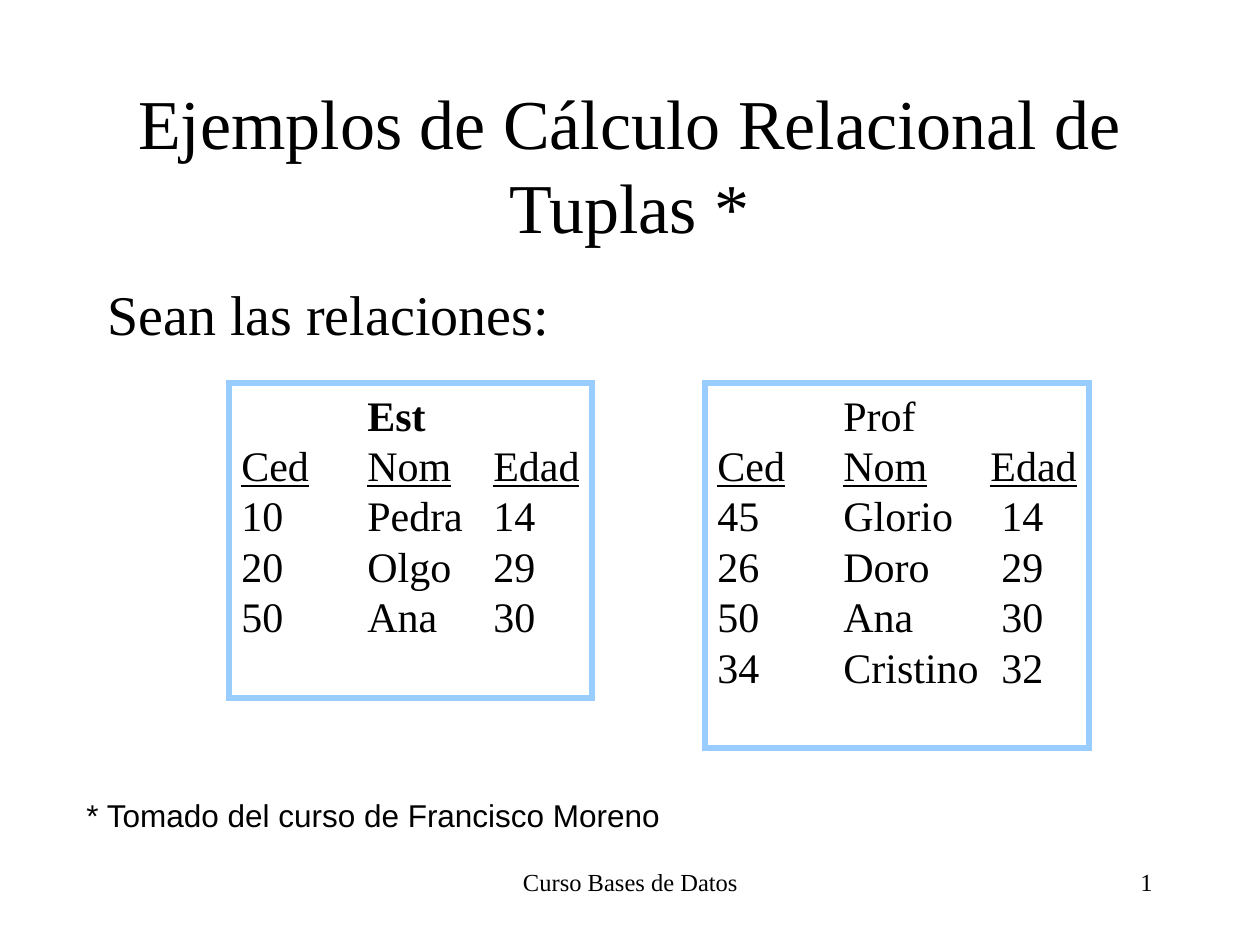
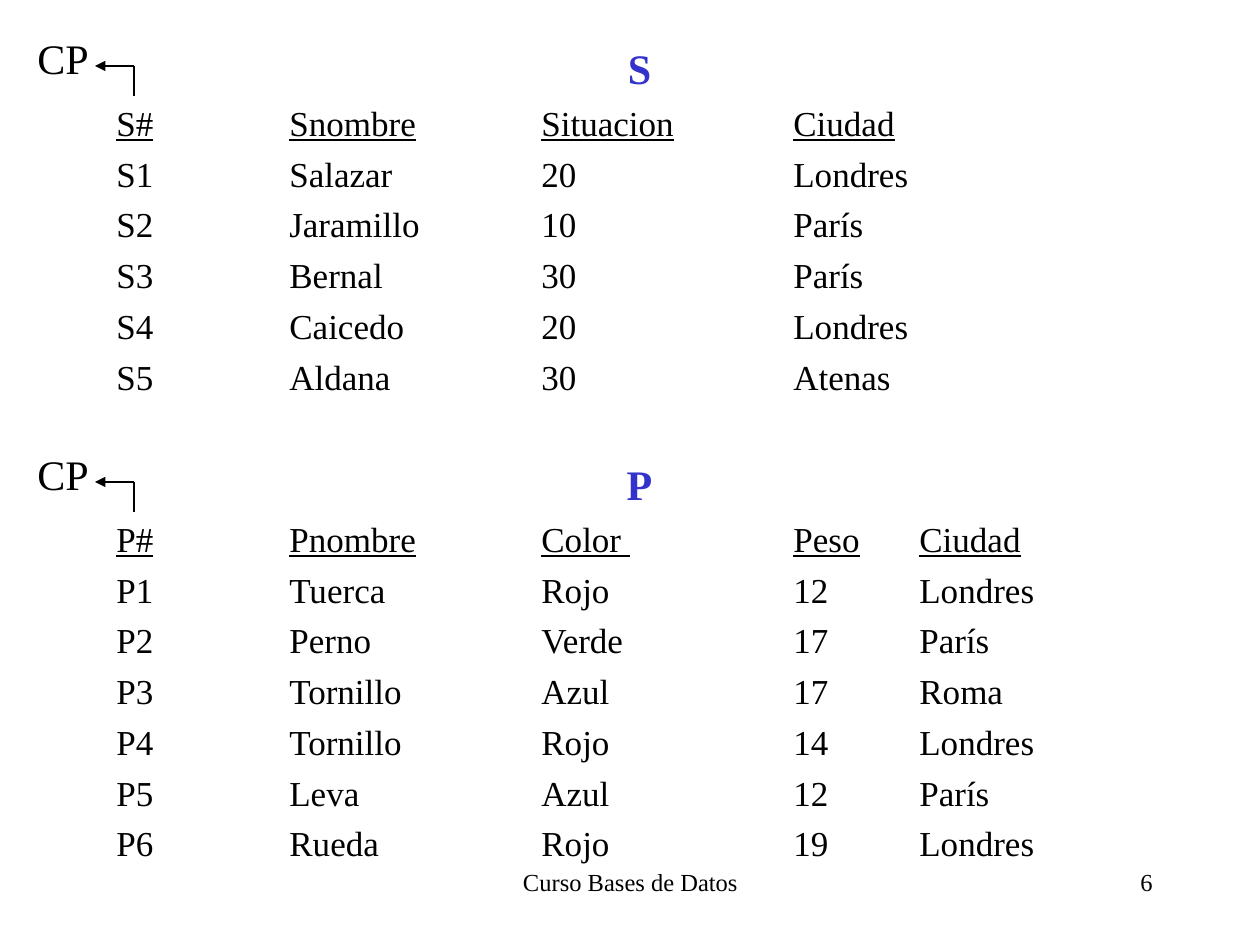
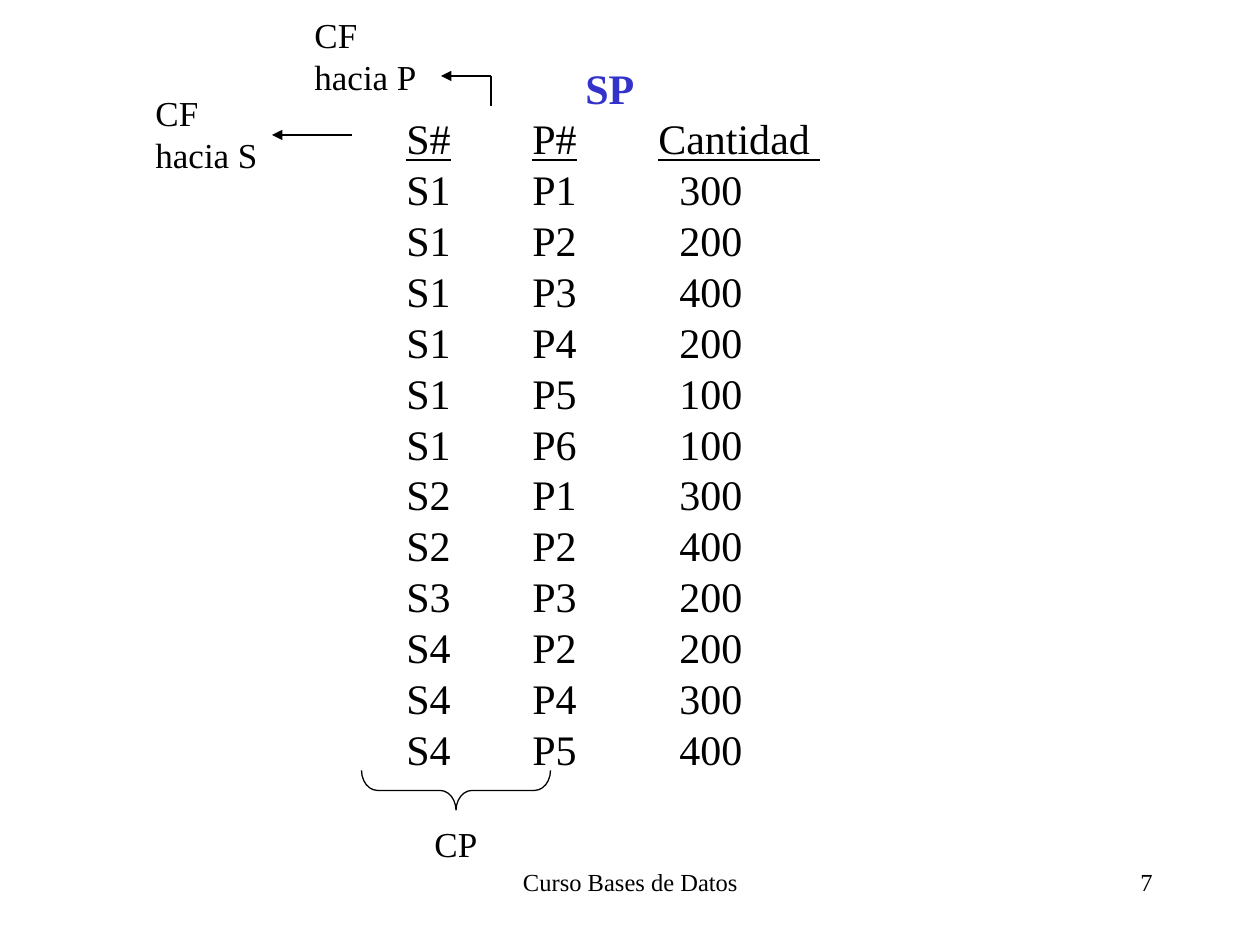
from dataclasses import dataclass

from lxml.etree import SubElement
from pptx import Presentation
from pptx.dml.color import RGBColor
from pptx.enum.shapes import MSO_CONNECTOR as Connector, MSO_SHAPE as Shape
from pptx.enum.text import (MSO_ANCHOR as Anchor, MSO_AUTO_SIZE as AutoSize,
                            PP_ALIGN as Align)
from pptx.oxml.ns import qn
from pptx.util import Emu, Pt

EMU_PER_PX = 914400 / 126


def px(length):
    return Emu(round(length * EMU_PER_PX))


@dataclass(frozen=True)
class Theme:
    serif: str = "Times New Roman"
    sans: str = "Arial"
    ink: str = "000000"
    accent: str = "3333CC"
    frame: str = "99CCFF"
    title: int = 40
    lead: int = 32
    large: int = 24
    medium: int = 20
    note: int = 18
    footer: int = 14
    leading: float = 1.2
    tight_leading: float = 0.96
    hairline: float = 0.75
    frame_width: float = 3.5


THEME = Theme()


@dataclass
class Row:
    """One paragraph; its cells are parted by tabs that stop at `stops` px."""
    cells: tuple
    size: int = THEME.large
    stops: tuple = ()
    before: float = 0
    color: str = THEME.ink
    font: str = THEME.serif
    align: Align = Align.LEFT
    leading: float = THEME.leading
    bold: bool = False
    underline: bool = False


def relation(header, records, stops, record_stops=None, **style):
    """Rows of a relation: underlined attribute names, then its tuples."""
    names = Row(header, stops=stops, underline=True, **style)
    return [names] + [Row(record, stops=record_stops or stops, **style)
                      for record in records]


class Deck:
    def __init__(self, theme):
        self.theme = theme
        self.presentation = Presentation()
        self.presentation.slide_width = px(1260)
        self.presentation.slide_height = px(945)
        self.slide = None

    def new_slide(self, number):
        layout = self.presentation.slide_layouts[6]
        self.slide = self.presentation.slides.add_slide(layout)
        size = self.theme.footer
        self.text((431, 861, 399, 63),
                  [Row(("Curso Bases de Datos",), size, align=Align.CENTER)])
        self.text((903, 861, 262, 63), [Row((number,), size, align=Align.RIGHT)])

    def text(self, box, rows, wrap=True, anchor=Anchor.TOP):
        area = self.slide.shapes.add_textbox(*map(px, box))
        self.fill_text(area.text_frame, rows, wrap, anchor)
        return area.text_frame

    def label(self, box, *lines, size):
        frame = self.text(box, [Row((line,), size) for line in lines], wrap=False)
        frame.auto_size = AutoSize.SHAPE_TO_FIT_TEXT

    def framed(self, box, rows):
        panel = self.slide.shapes.add_shape(Shape.RECTANGLE, *map(px, box))
        self.outline(panel, self.theme.frame, self.theme.frame_width)
        self.fill_text(panel.text_frame, rows, wrap=False)

    def brace(self, box):
        """Curly brace pointing down; `box` is its extent before rotation."""
        brace = self.slide.shapes.add_shape(Shape.RIGHT_BRACE, *map(px, box))
        brace.rotation = 90
        brace.adjustments[0] = 0.4
        self.outline(brace, self.theme.ink, self.theme.hairline)

    def line(self, start, end, arrow=False):
        line = self.slide.shapes.add_connector(
            Connector.STRAIGHT, *map(px, start + end))
        line.line.color.rgb = RGBColor.from_string(self.theme.ink)
        line.line.width = Pt(self.theme.hairline)
        if arrow:
            SubElement(line.line._get_or_add_ln(), qn("a:tailEnd"), type="triangle")
        SubElement(line._element.spPr, qn("a:effectLst"))

    def key_pointer(self, foot, corner, tip):
        """Elbow that rises from a key column and points left to its label."""
        self.line(corner, tip, arrow=True)
        self.line(foot, corner)

    @staticmethod
    def outline(shape, color, width):
        """Unfilled shape with a square-cornered line."""
        shape.shadow.inherit = False
        shape.fill.background()
        shape.line.color.rgb = RGBColor.from_string(color)
        shape.line.width = Pt(width)
        SubElement(shape.line._get_or_add_ln(), qn("a:miter"), lim="800000")

    def fill_text(self, frame, rows, wrap, anchor=Anchor.TOP):
        frame.word_wrap = wrap
        frame.vertical_anchor = anchor
        for index, row in enumerate(rows):
            paragraph = frame.add_paragraph() if index else frame.paragraphs[0]
            self.fill_row(paragraph, row)

    @staticmethod
    def fill_row(paragraph, row):
        paragraph.alignment = row.align
        paragraph.line_spacing = Pt(row.size * row.leading)
        paragraph.space_before = Pt(row.before)
        if row.stops:
            tabs = SubElement(paragraph._p.get_or_add_pPr(), qn("a:tabLst"))
            for stop in row.stops:
                SubElement(tabs, qn("a:tab"), pos=str(px(stop)), algn="l")
        if row.underline:
            for index, cell in enumerate(row.cells):
                if index:
                    paragraph.add_run().text = "\t"
                if cell:
                    name = paragraph.add_run()
                    name.text = cell
                    name.font.underline = True
        else:
            paragraph.text = "\t".join(row.cells)
        for run in paragraph.runs:
            run.font.name = row.font
            run.font.size = Pt(row.size)
            run.font.bold = row.bold
            run.font.color.rgb = RGBColor.from_string(row.color)


def build_examples(deck):
    theme = deck.theme
    deck.new_slide("1")
    deck.text((94, 84, 1071, 158),
              [Row(("Ejemplos de Cálculo Relacional de Tuplas *",), theme.title,
                   align=Align.CENTER)], anchor=Anchor.MIDDLE)
    deck.text((95, 273, 1071, 567), [Row(("Sean las relaciones:",), theme.lead)])

    header = ("Ced", "Nom", "Edad")
    students = (("10", "Pedra", "14"), ("20", "Olgo", "29"), ("50", "Ana", "30"))
    teachers = (("45", "Glorio", "14"), ("26", "Doro", "29"),
                ("50", "Ana", "30"), ("34", "Cristino", "32"))
    deck.framed((229, 383, 363, 315),
                [Row(("", "Est"), stops=(126,), bold=True)]
                + relation(header, students, (126, 252)))
    deck.framed((705, 383, 384, 365),
                [Row(("", "Prof"), stops=(126,))]
                + relation(header, teachers, (126, 273), (126, 284)))
    deck.text((74, 790, 655, 50),
              [Row(("* Tomado del curso de Francisco Moreno",), theme.note,
                   font=theme.sans)])


def build_suppliers_and_parts(deck):
    theme = deck.theme
    deck.new_slide("6")
    suppliers = (("S1", "Salazar", "20", "Londres"),
                 ("S2", "Jaramillo", "10", "París"),
                 ("S3", "Bernal", "30", "París"),
                 ("S4", "Caicedo", "20", "Londres"),
                 ("S5", "Aldana", "30", "Atenas"))
    parts = (("P1", "Tuerca", "Rojo", "12", "Londres"),
             ("P2", "Perno", "Verde", "17", "París"),
             ("P3", "Tornillo", "Azul", "17", "Roma"),
             ("P4", "Tornillo", "Rojo", "14", "Londres"),
             ("P5", "Leva", "Azul", "12", "París"),
             ("P6", "Rueda", "Rojo", "19", "Londres"))
    heading = dict(color=theme.accent, bold=True, align=Align.CENTER)
    style = dict(stops=(173, 425, 677, 803), size=theme.medium, before=5)
    deck.text((104, 36, 1071, 883),
              [Row(("S",), before=6, **heading)]
              + relation(("S#", "Snombre", "Situacion", "Ciudad"), suppliers, **style)
              + [Row(("P",), before=35, **heading)]
              + relation(("P#", "Pnombre", "Color ", "Peso", "Ciudad"), parts, **style))
    for top in (26, 442):
        deck.label((25, top, 77, 63), "CP", size=theme.large)
        deck.key_pointer((134, top + 70), (134, top + 40), (95, top + 40))


def build_shipments(deck):
    theme = deck.theme
    deck.new_slide("7")
    shipments = (("S1", "P1", "300"), ("S1", "P2", "200"), ("S1", "P3", "400"),
                 ("S1", "P4", "200"), ("S1", "P5", "100"), ("S1", "P6", "100"),
                 ("S2", "P1", "300"), ("S2", "P2", "400"), ("S3", "P3", "200"),
                 ("S4", "P2", "200"), ("S4", "P4", "300"), ("S4", "P5", "400"))
    style = dict(before=6, leading=theme.tight_leading)
    deck.text((95, 66, 1071, 775),
              [Row(("", "SP"), stops=(478,), color=theme.accent, bold=True, **style)]
              + relation(("", "S#", "P#", "Cantidad "),
                         [("",) + shipment for shipment in shipments],
                         (299, 425, 551), (299, 425, 572), **style))
    deck.brace((436, 696, 40, 189))
    deck.label((422, 816, 68, 55), "CP", size=theme.medium)
    deck.label((143, 85, 130, 97), "CF", "hacia S", size=theme.medium)
    deck.label((302, 7, 130, 97), "CF", "hacia P", size=theme.medium)
    deck.line((352, 135), (272, 135), arrow=True)
    deck.key_pointer((491, 106), (491, 76), (441, 76))


def main():
    deck = Deck(THEME)
    build_examples(deck)
    build_suppliers_and_parts(deck)
    build_shipments(deck)
    deck.presentation.save("out.pptx")


if __name__ == "__main__":
    main()
